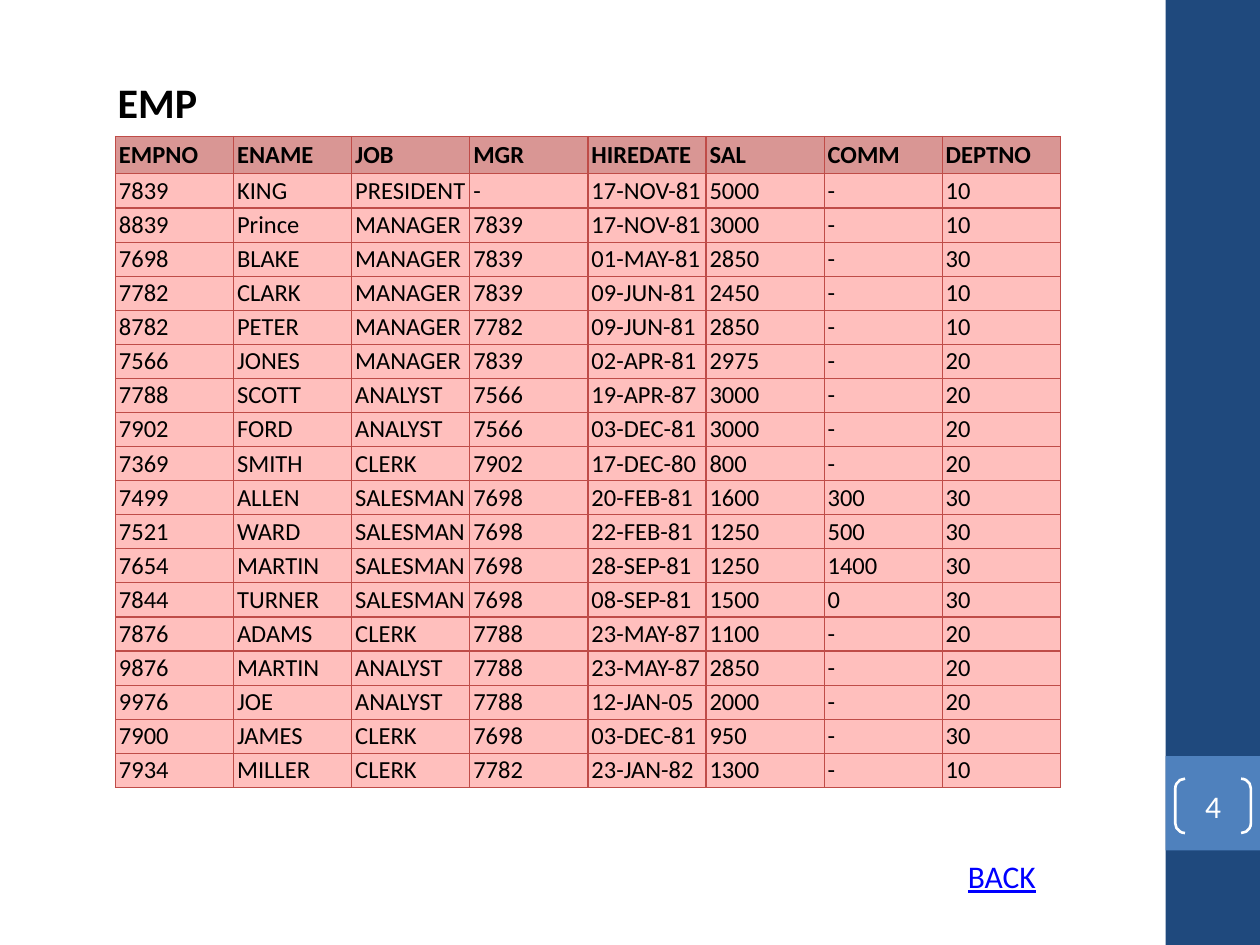
from lxml import etree
from pptx import Presentation
from pptx.dml.color import RGBColor
from pptx.enum import shapes, text
from pptx.oxml import ns
from pptx.util import Pt

FONT = "Calibri"
HEADINGS = ["EMPNO", "ENAME", "JOB", "MGR", "HIREDATE", "SAL", "COMM", "DEPTNO"]
EMPLOYEES = """
7839 KING PRESIDENT - 17-NOV-81 5000 - 10
8839 Prince MANAGER 7839 17-NOV-81 3000 - 10
7698 BLAKE MANAGER 7839 01-MAY-81 2850 - 30
7782 CLARK MANAGER 7839 09-JUN-81 2450 - 10
8782 PETER MANAGER 7782 09-JUN-81 2850 - 10
7566 JONES MANAGER 7839 02-APR-81 2975 - 20
7788 SCOTT ANALYST 7566 19-APR-87 3000 - 20
7902 FORD ANALYST 7566 03-DEC-81 3000 - 20
7369 SMITH CLERK 7902 17-DEC-80 800 - 20
7499 ALLEN SALESMAN 7698 20-FEB-81 1600 300 30
7521 WARD SALESMAN 7698 22-FEB-81 1250 500 30
7654 MARTIN SALESMAN 7698 28-SEP-81 1250 1400 30
7844 TURNER SALESMAN 7698 08-SEP-81 1500 0 30
7876 ADAMS CLERK 7788 23-MAY-87 1100 - 20
9876 MARTIN ANALYST 7788 23-MAY-87 2850 - 20
9976 JOE ANALYST 7788 12-JAN-05 2000 - 20
7900 JAMES CLERK 7698 03-DEC-81 950 - 30
7934 MILLER CLERK 7782 23-JAN-82 1300 - 10
"""


def color(value):
    return RGBColor.from_string(value)


def write(text_frame, words, size, value, bold=False, underline=False,
          align=text.PP_ALIGN.LEFT):
    text_frame.text = words
    paragraph = text_frame.paragraphs[0]
    paragraph.alignment = align
    font = paragraph.runs[0].font
    font.name, font.size, font.bold, font.underline = FONT, Pt(size), bold, underline
    font.color.rgb = color(value)


def set_margins(target, horizontal, vertical):
    target.margin_left = target.margin_right = Pt(horizontal)
    target.margin_top = target.margin_bottom = Pt(vertical)


def add_block(slide, left, top, width, height, fill):
    shape = slide.shapes.add_shape(
        shapes.MSO_SHAPE.RECTANGLE, Pt(left), Pt(top), Pt(width), Pt(height))
    shape.shadow.inherit = False
    shape.fill.solid()
    shape.fill.fore_color.rgb = color(fill)
    shape.line.fill.background()


def add_side_band(slide, left, top, width, height, number):
    """Dark band with a square that holds the bracketed slide number."""
    square_top = top + height * 0.8
    add_block(slide, left, top, width, height, "1F497D")
    add_block(slide, left, square_top, width, width, "4F81BD")
    bracket = slide.shapes.add_shape(
        shapes.MSO_SHAPE.DOUBLE_BRACKET,
        Pt(left + 5.6), Pt(square_top + 13), Pt(43.2), Pt(31))
    bracket.adjustments[0] = 0.18
    bracket.shadow.inherit = False
    bracket.fill.background()
    bracket.line.color.rgb = color("FFFFFF")
    bracket.line.width = Pt(1.5)
    set_margins(bracket.text_frame, 0, 0)
    bracket.text_frame.vertical_anchor = text.MSO_ANCHOR.MIDDLE
    write(bracket.text_frame, number, 18, "FFFFFF", align=text.PP_ALIGN.CENTER)


def place_title(slide, left, top, width, height, words):
    title = slide.shapes.title
    title.left, title.top, title.width, title.height = map(Pt, (left, top, width, height))
    frame = title.text_frame
    frame.word_wrap = False
    frame.auto_size = text.MSO_AUTO_SIZE.NONE
    frame.vertical_anchor = text.MSO_ANCHOR.TOP
    write(frame, words, 24, "000000", bold=True)


def add_back_label(slide, left, top, width, height, words):
    box = slide.shapes.add_textbox(Pt(left), Pt(top), Pt(width), Pt(height))
    box.text_frame.word_wrap = False
    write(box.text_frame, words, 18, "0000FF", underline=True)


def add_borders(cell, value, width):
    properties = cell._tc.get_or_add_tcPr()
    for position, side in enumerate(("a:lnL", "a:lnR", "a:lnT", "a:lnB")):
        line = etree.Element(ns.qn(side), w=str(Pt(width)))
        fill = etree.SubElement(line, ns.qn("a:solidFill"))
        etree.SubElement(fill, ns.qn("a:srgbClr"), val=value)
        properties.insert(position, line)


def add_employee_table(slide, left, top, width, height):
    rows = [HEADINGS] + [line.split() for line in EMPLOYEES.strip().splitlines()]
    header_height = 21.4
    row_height = (height - header_height) / (len(rows) - 1)
    table = slide.shapes.add_table(
        len(rows), len(HEADINGS), Pt(left), Pt(top), Pt(width), Pt(height)).table
    table.horz_banding = False
    for column in table.columns:
        column.width = Pt(width / len(HEADINGS))
    for row_index, values in enumerate(rows):
        header = row_index == 0
        table.rows[row_index].height = Pt(header_height if header else row_height)
        for column_index, value in enumerate(values):
            cell = table.cell(row_index, column_index)
            set_margins(cell, 2, 2 if header else 1)
            cell.vertical_anchor = (
                text.MSO_ANCHOR.BOTTOM if header else text.MSO_ANCHOR.MIDDLE)
            cell.fill.solid()
            cell.fill.fore_color.rgb = color("D99694" if header else "FFBFBD")
            add_borders(cell, "BF4C48", 0.75)
            write(cell.text_frame, value, 14, "000000", bold=header)


def main():
    presentation = Presentation()
    presentation.slide_width, presentation.slide_height = Pt(720), Pt(540)
    slide = presentation.slides.add_slide(presentation.slide_layouts[5])
    add_side_band(slide, 666, 0, 54, 540, "4")
    add_employee_table(slide, 66, 78, 540, 372)
    place_title(slide, 60, 40, 60, 36, "EMP")
    add_back_label(slide, 546, 486, 54, 29, "BACK")
    presentation.save("out.pptx")


if __name__ == "__main__":
    main()
